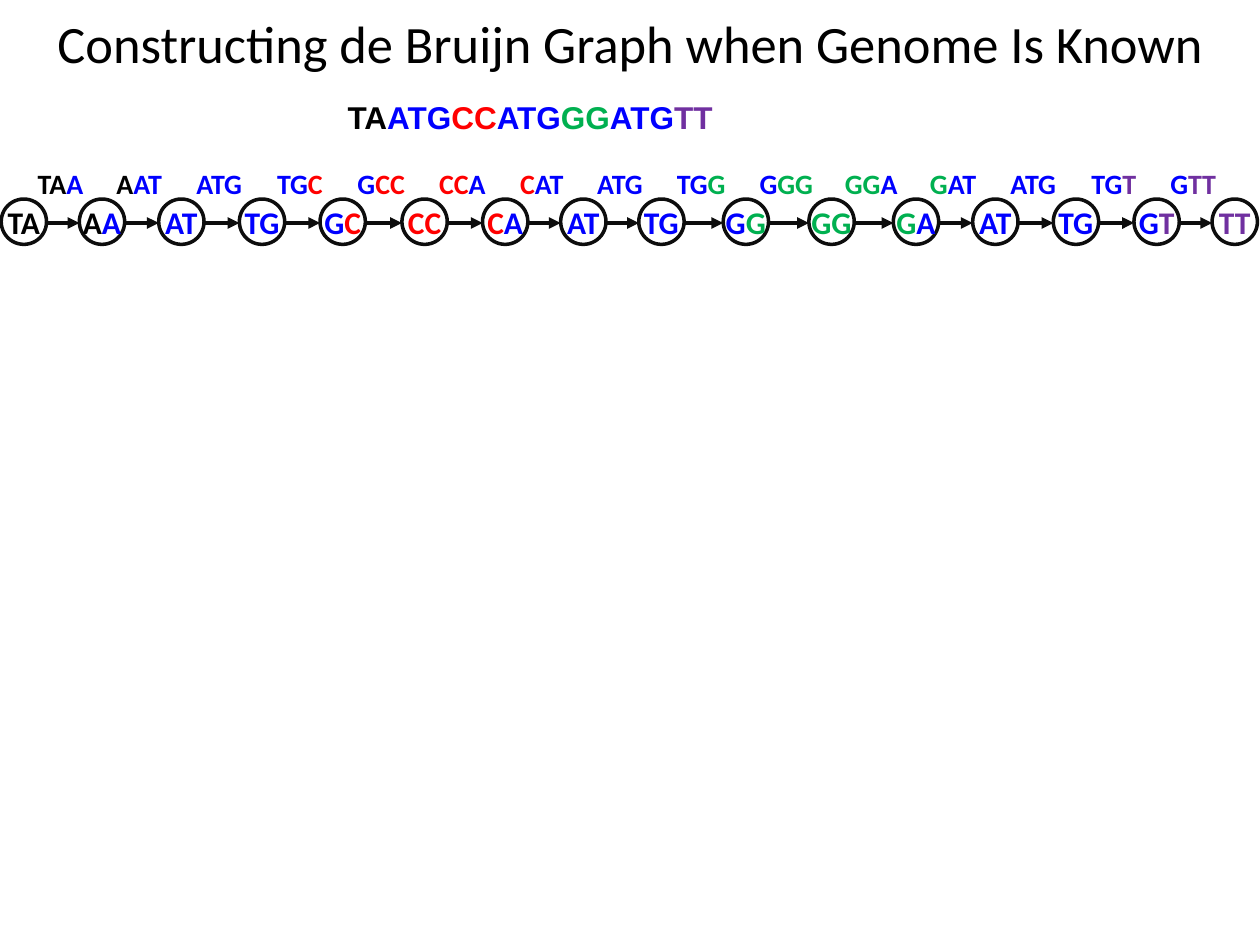
"""Slide: the path of 2-mer nodes and 3-mer edges spelled by a known genome."""
from itertools import groupby

from lxml.etree import SubElement
from pptx import Presentation
from pptx.dml.color import RGBColor as RGB
from pptx.enum.shapes import MSO_CONNECTOR as CONN, MSO_SHAPE as SHAPE
from pptx.enum.text import MSO_ANCHOR as ANCHOR, PP_ALIGN as ALIGN
from pptx.oxml.ns import qn
from pptx.util import Inches, Pt

COLORS = {"k": "000000", "b": "0000FF", "r": "FF0000", "g": "00B050",
          "p": "7030A0", "line": "0D0D0D"}
GENOME = "TAATGCCATGGGATGTT"
LETTER_COLORS = "kkbbbrrbbbggbbbpp"
NODE_LEFTS = [0.01, 0.63, 1.26, 1.9, 2.54, 3.19, 3.83, 4.45,
              5.07, 5.74, 6.42, 7.09, 7.72, 8.36, 9, 9.62]
NODE_TOP, NODE_SIZE = 1.58, 0.36
ARROW_Y = NODE_TOP + NODE_SIZE / 2 + 0.01
LABEL_TOP, LABEL_W, LABEL_H = 1.27, 0.6, 0.37

prs = Presentation()
prs.slide_width, prs.slide_height = Inches(10), Inches(7.5)
s = prs.slides.add_slide(prs.slide_layouts[6])


def add_run(p, text, size, font, color, bold=True):
    r = p.add_run()
    r.text = text
    r.font.size, r.font.name, r.font.bold = Pt(size), font, bold
    r.font.color.rgb = RGB.from_string(COLORS[color])


def add_kmer(p, start, length, size, font="Calibri"):
    letters = range(start, start + length)
    for color, group in groupby(letters, key=lambda i: LETTER_COLORS[i]):
        add_run(p, "".join(GENOME[i] for i in group), size, font, color)


title = s.shapes.add_textbox(Inches(0.01), Inches(-0.08), Inches(9.99), Inches(0.83))
tf = title.text_frame
tf.word_wrap, tf.vertical_anchor = True, ANCHOR.MIDDLE
tf.paragraphs[0].alignment = ALIGN.CENTER
add_run(tf.paragraphs[0], "Constructing de Bruijn Graph when Genome Is Known",
        30, "Calibri", "k", bold=False)

genome = s.shapes.add_textbox(Inches(2.66), Inches(0.73), Inches(4.45), Inches(0.5))
genome.text_frame.word_wrap = True
add_kmer(genome.text_frame.paragraphs[0], 0, len(GENOME), 18, "Arial")

for i, left in enumerate(NODE_LEFTS):
    node = s.shapes.add_shape(SHAPE.OVAL, Inches(left), Inches(NODE_TOP),
                              Inches(NODE_SIZE), Inches(NODE_SIZE))
    node.shadow.inherit = False
    node.fill.background()
    node.line.color.rgb = RGB.from_string(COLORS["line"])
    node.line.width = Pt(2)
    tf = node.text_frame
    tf.word_wrap, tf.vertical_anchor = False, ANCHOR.MIDDLE
    tf.margin_left = tf.margin_right = tf.margin_top = tf.margin_bottom = 0
    tf.paragraphs[0].alignment = ALIGN.CENTER
    add_kmer(tf.paragraphs[0], i, 2, 18)

for i, (left, following) in enumerate(zip(NODE_LEFTS, NODE_LEFTS[1:])):
    arrow = s.shapes.add_connector(CONN.STRAIGHT, Inches(left + NODE_SIZE + 0.01),
                                   Inches(ARROW_Y), Inches(following), Inches(ARROW_Y))
    arrow.line.color.rgb = RGB.from_string(COLORS["line"])
    arrow.line.width = Pt(2.25)
    outline = arrow.element.spPr.find(qn("a:ln"))
    SubElement(outline, qn("a:tailEnd"), type="triangle")
    SubElement(arrow.element.spPr, qn("a:effectLst"))

    middle = (left + following + NODE_SIZE) / 2 - 0.02
    label = s.shapes.add_textbox(Inches(middle - LABEL_W / 2), Inches(LABEL_TOP),
                                 Inches(LABEL_W), Inches(LABEL_H))
    tf = label.text_frame
    tf.word_wrap = False
    tf.margin_left = tf.margin_right = 0
    tf.paragraphs[0].alignment = ALIGN.CENTER
    add_kmer(tf.paragraphs[0], i, 3, 16)

prs.save("out.pptx")
